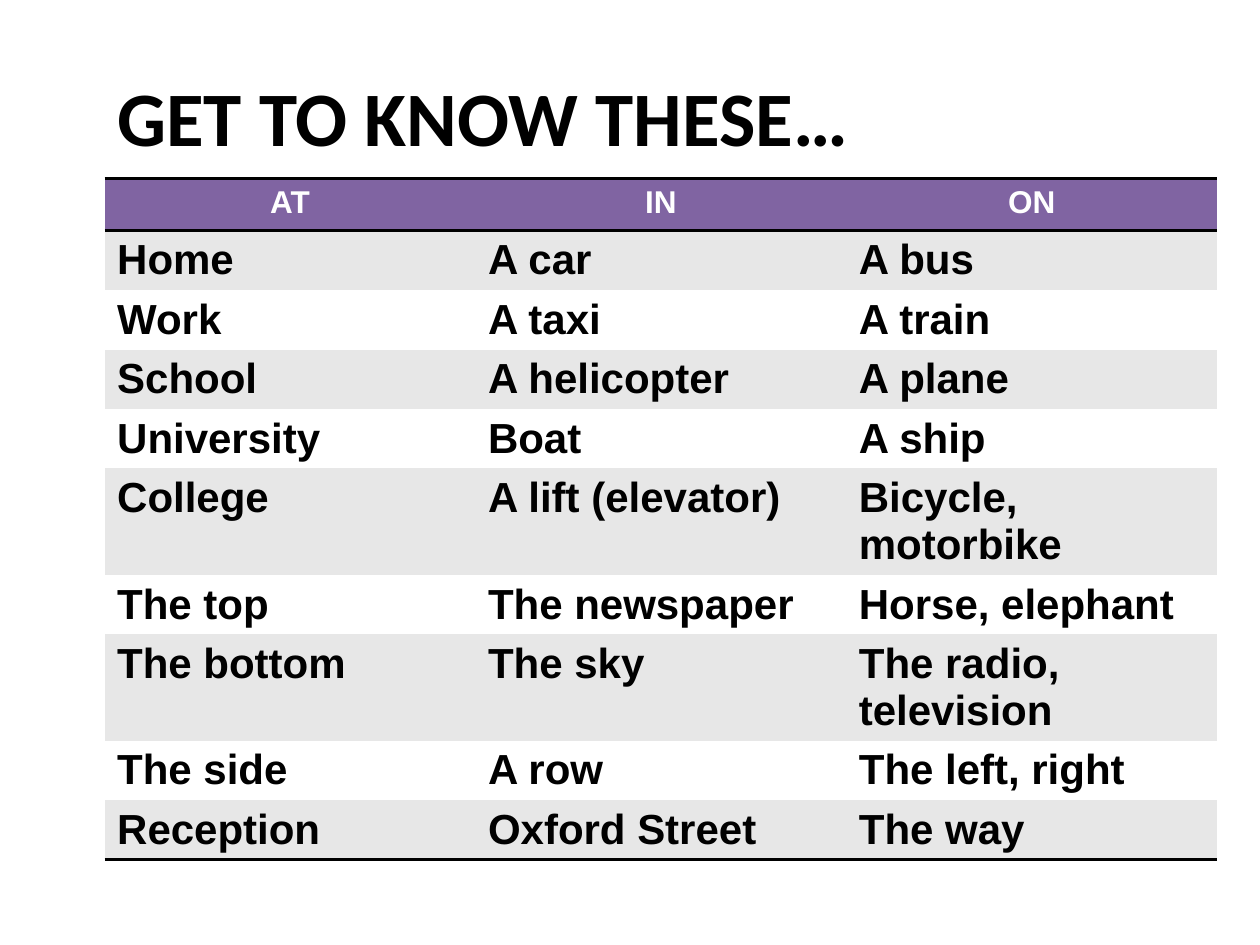
from lxml import etree
from pptx import Presentation
from pptx.dml.color import RGBColor
from pptx.enum.text import MSO_ANCHOR, PP_ALIGN
from pptx.oxml.ns import qn
from pptx.util import Inches, Pt

LEFT, CENTER = PP_ALIGN.LEFT, PP_ALIGN.CENTER
MIDDLE = MSO_ANCHOR.MIDDLE

TITLE = "GET TO KNOW THESE…"
HEADER = ("AT", "IN", "ON")
ROWS = [
    ("Home", "A car", "A bus"),
    ("Work", "A taxi", "A train"),
    ("School", "A helicopter", "A plane"),
    ("University", "Boat", "A ship"),
    ("College", "A lift (elevator)", "Bicycle,\nmotorbike"),
    ("The top", "The newspaper", "Horse, elephant"),
    ("The bottom", "The sky", "The radio,\ntelevision"),
    ("The side", "A row", "The left, right"),
    ("Reception", "Oxford Street", "The way"),
]
BLACK, WHITE, PURPLE, GREY = "000000", "FFFFFF", "8064A2", "E7E7E7"
MARGIN, WIDTH = 0.83, 8.83
TITLE_TOP, TITLE_HEIGHT = 0.29, 1.25
TABLE_TOP, ROW_HEIGHT = 1.42, 0.41
RULE_WIDTH = 2


def rgb(value):
    return RGBColor.from_string(value)


def write(tf, text, font="Arial", size=24, color=BLACK, align=LEFT):
    """Fill a text frame with bold text, one paragraph a line."""
    tf.text = text
    for p in tf.paragraphs:
        p.alignment = align
        for r in p.runs:
            r.font.name, r.font.size, r.font.bold = font, Pt(size), True
            r.font.color.rgb = rgb(color)


def set_borders(cell, ruled):
    """Draw black rules on the sides in ruled and clear the other sides."""
    tc_pr = cell._tc.get_or_add_tcPr()
    for side in "LRTB":
        ln = etree.SubElement(tc_pr, qn(f"a:ln{side}"), w=str(Pt(RULE_WIDTH)))
        if side in ruled:
            fill = etree.SubElement(ln, qn("a:solidFill"))
            etree.SubElement(fill, qn("a:srgbClr"), val=BLACK)
        else:
            etree.SubElement(ln, qn("a:noFill"))


def add_title(s):
    sp = s.shapes.title
    sp.left, sp.top = Inches(MARGIN), Inches(TITLE_TOP)
    sp.width, sp.height = Inches(WIDTH), Inches(TITLE_HEIGHT)
    sp.text_frame.vertical_anchor = MIDDLE
    write(sp.text_frame, TITLE, font="Calibri", size=44)


def add_preposition_table(s):
    grid = [HEADER, *ROWS]
    last = len(grid) - 1
    rules = {0: "TB", 1: "T", last: "B"}
    table = s.shapes.add_table(
        len(grid), len(HEADER), Inches(MARGIN), Inches(TABLE_TOP),
        Inches(WIDTH), Inches(ROW_HEIGHT * len(grid))).table
    for i, row in enumerate(grid):
        for j, text in enumerate(row):
            cell = table.cell(i, j)
            set_borders(cell, rules.get(i, ""))
            cell.fill.solid()
            if i == 0:
                cell.fill.fore_color.rgb = rgb(PURPLE)
                write(cell.text_frame, text, size=18, color=WHITE, align=CENTER)
            else:
                cell.fill.fore_color.rgb = rgb(GREY if i % 2 else WHITE)
                write(cell.text_frame, text)


def main():
    prs = Presentation()
    prs.slide_width, prs.slide_height = Inches(10), Inches(7.5)
    s = prs.slides.add_slide(prs.slide_layouts.get_by_name("Title Only"))
    add_title(s)
    add_preposition_table(s)
    prs.save("out.pptx")


if __name__ == "__main__":
    main()
